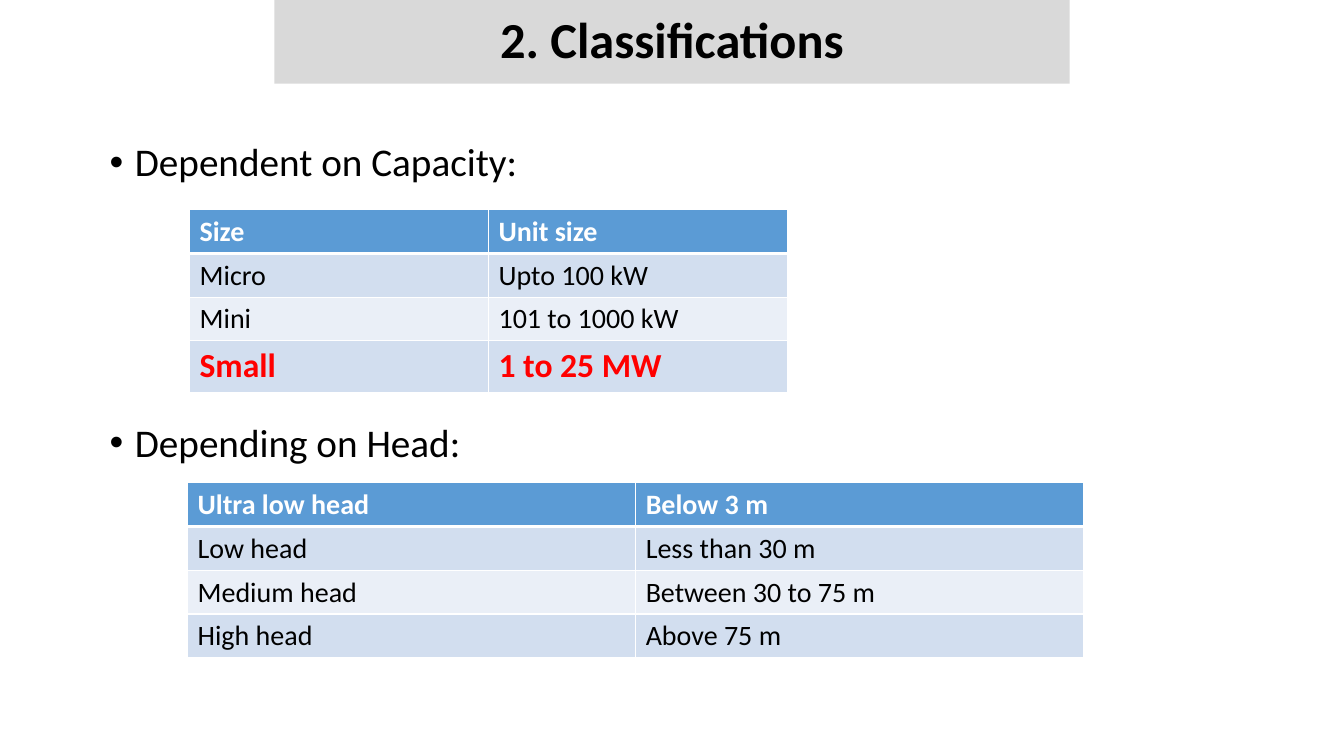
from dataclasses import dataclass

from lxml import etree
from pptx import Presentation
from pptx.dml.color import RGBColor
from pptx.enum.shapes import MSO_SHAPE
from pptx.enum.text import MSO_ANCHOR, PP_ALIGN
from pptx.oxml.ns import qn
from pptx.util import Inches, Pt


@dataclass(frozen=True)
class Theme:
    font: str = "Calibri"
    title_size: int = 36
    body_size: int = 28
    cell_size: int = 20
    accent_size: int = 24
    text: str = "000000"
    white: str = "FFFFFF"
    accent: str = "FF0000"
    title_fill: str = "D9D9D9"
    header_fill: str = "5B9BD5"
    bands: tuple = ("D2DEEF", "EAEFF7")


THEME = Theme()

CAPACITY = [
    ("Size", "Unit size"),
    ("Micro", "Upto 100 kW"),
    ("Mini", "101 to 1000 kW"),
    ("Small", "1 to 25 MW"),
]
HEAD = [
    ("Ultra low head", "Below 3 m"),
    ("Low head", "Less than 30 m"),
    ("Medium head", "Between 30 to 75 m"),
    ("High head", "Above 75 m"),
]


def style_text(p, size, color, bold=False):
    for r in p.runs:
        r.font.name = THEME.font
        r.font.size = Pt(size)
        r.font.bold = bold
        r.font.color.rgb = RGBColor.from_string(color)


def add_title(slide, text, left, top, width, height):
    sp = slide.shapes.add_shape(MSO_SHAPE.RECTANGLE, Inches(left), Inches(top),
                                Inches(width), Inches(height))
    sp.shadow.inherit = False
    sp.fill.solid()
    sp.fill.fore_color.rgb = RGBColor.from_string(THEME.title_fill)
    sp.line.fill.background()
    tf = sp.text_frame
    tf.vertical_anchor = MSO_ANCHOR.MIDDLE
    p = tf.paragraphs[0]
    p.text = text
    p.alignment = PP_ALIGN.CENTER
    p.line_spacing = 0.9
    style_text(p, THEME.title_size, THEME.text, bold=True)


def add_bullets(slide, items, gap, left, top, width, height):
    """Bulleted headings, with a gap in points that leaves room for a table."""
    sp = slide.shapes.add_textbox(Inches(left), Inches(top),
                                  Inches(width), Inches(height))
    tf = sp.text_frame
    tf.word_wrap = True
    for i, item in enumerate(items):
        p = tf.add_paragraph() if i else tf.paragraphs[0]
        p.text = item
        p.line_spacing = 0.9
        p.space_before = Pt(gap if i else 0)
        pPr = p._p.get_or_add_pPr()
        pPr.set("marL", str(Inches(0.25)))
        pPr.set("indent", str(Inches(-0.25)))
        etree.SubElement(pPr, qn("a:buFont"), typeface="Arial")
        etree.SubElement(pPr, qn("a:buChar"), char="•")
        style_text(p, THEME.body_size, THEME.text)


def set_borders(cell, bottom):
    """White cell borders; they go ahead of the fill in the cell properties."""
    tcPr = cell._tc.get_or_add_tcPr()
    widths = {"a:lnL": 1, "a:lnR": 1, "a:lnT": 1, "a:lnB": bottom}
    for i, (tag, width) in enumerate(widths.items()):
        ln = etree.Element(qn(tag), w=str(Pt(width)))
        fill = etree.SubElement(ln, qn("a:solidFill"))
        etree.SubElement(fill, qn("a:srgbClr"), val=THEME.white)
        tcPr.insert(i, ln)


def add_banded_table(slide, rows, left, top, width, row_height, accent_row=None):
    frame = slide.shapes.add_table(len(rows), len(rows[0]), Inches(left), Inches(top),
                                   Inches(width), Inches(row_height * len(rows)))
    table = frame.table
    for i, values in enumerate(rows):
        # Row style: header, highlighted or plain
        size, color, bold = THEME.cell_size, THEME.text, False
        fill = THEME.bands[(i - 1) % 2]
        if i == 0:
            color, bold, fill = THEME.white, True, THEME.header_fill
        elif i == accent_row:
            size, color, bold = THEME.accent_size, THEME.accent, True
            table.rows[i].height = Inches(0.51)
        for j, value in enumerate(values):
            cell = table.cell(i, j)
            cell.text = value
            style_text(cell.text_frame.paragraphs[0], size, color, bold)
            cell.fill.solid()
            cell.fill.fore_color.rgb = RGBColor.from_string(fill)
            set_borders(cell, bottom=3 if i == 0 else 1)


def main():
    prs = Presentation()
    prs.slide_width, prs.slide_height = Inches(13.33), Inches(7.5)
    slide = prs.slides.add_slide(prs.slide_layouts[6])

    add_title(slide, "2. Classifications", 2.72, 0, 7.89, 0.83)
    add_bullets(slide, ["Dependent on Capacity:", "Depending on Head:"], 170,
                0.99, 1.37, 11.5, 4.76)
    add_banded_table(slide, CAPACITY, 1.88, 2.08, 5.93, 0.43, accent_row=3)
    add_banded_table(slide, HEAD, 1.86, 4.79, 8.89, 0.43)

    prs.save("out.pptx")


if __name__ == "__main__":
    main()
